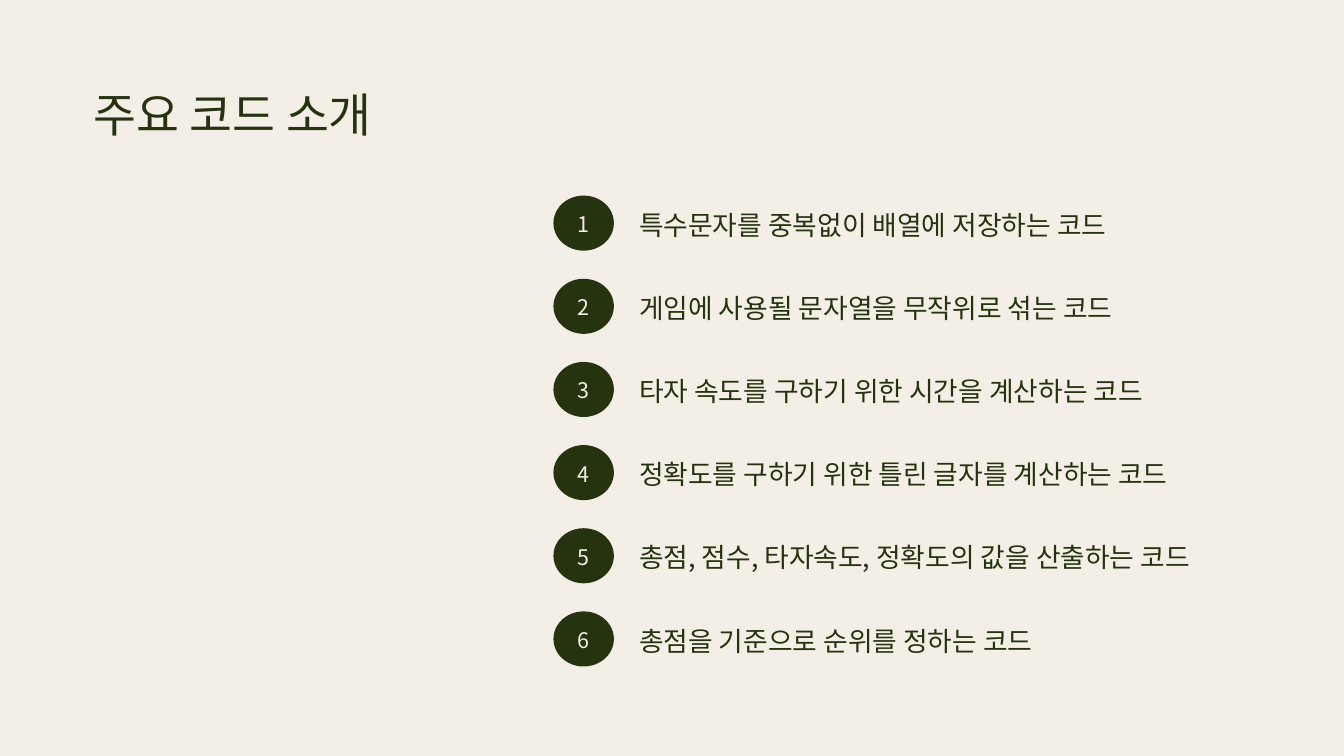
from dataclasses import dataclass

from lxml.etree import SubElement
from pptx import Presentation
from pptx.dml.color import RGBColor
from pptx.enum.shapes import MSO_SHAPE
from pptx.enum.text import MSO_AUTO_SIZE, PP_ALIGN
from pptx.oxml.ns import qn
from pptx.util import Inches, Pt

COLORS = {"cream": "F4EFE6", "green": "25330F"}
FONT = "Noto Sans CJK KR"
WIDTH, HEIGHT = Inches(20), Inches(11.25)

# Places and sizes are percentages of the slide's width and height.
FIRST_ROW, ROW_PITCH = 25.87, 11
BADGE_LEFT, BADGE_WIDTH, BADGE_HEIGHT = 41.18, 4.5, 7.29
LABEL_LEFT, LABEL_WIDTH = 47.55, 45.5

TOPICS = [
    "특수문자를 중복없이 배열에 저장하는 코드",
    "게임에 사용될 문자열을 무작위로 섞는 코드",
    "타자 속도를 구하기 위한 시간을 계산하는 코드",
    "정확도를 구하기 위한 틀린 글자를 계산하는 코드",
    "총점, 점수, 타자속도, 정확도의 값을 산출하는 코드",
    "총점을 기준으로 순위를 정하는 코드",
]


@dataclass(frozen=True)
class Box:
    left: float
    top: float
    width: float
    height: float

    def emu(self) -> tuple[int, int, int, int]:
        return (round(WIDTH * self.left / 100), round(HEIGHT * self.top / 100),
                round(WIDTH * self.width / 100), round(HEIGHT * self.height / 100))


@dataclass(frozen=True)
class TextStyle:
    size: float
    spacing: float
    color: str = "green"
    align: PP_ALIGN = PP_ALIGN.LEFT


TITLE = TextStyle(50, 70)
NUMBER = TextStyle(23, 32.2, "cream", PP_ALIGN.CENTER)
LABEL = TextStyle(28.7, 40.2)


def rgb(name: str) -> RGBColor:
    return RGBColor.from_string(COLORS[name])


def add_text(shapes, box: Box, text: str, style: TextStyle) -> None:
    tf = shapes.add_textbox(*box.emu()).text_frame
    tf.word_wrap = True
    tf.auto_size = MSO_AUTO_SIZE.SHAPE_TO_FIT_TEXT
    tf.margin_left = tf.margin_top = tf.margin_right = tf.margin_bottom = 0
    p = tf.paragraphs[0]
    p.alignment = style.align
    p.line_spacing = Pt(style.spacing)
    r = p.add_run()
    r.text = text
    r.font.size = Pt(style.size)
    r.font.color.rgb = rgb(style.color)
    r.font.name = FONT
    SubElement(r.font._element, qn("a:ea"), typeface=FONT)


def add_topic(shapes, number: int, text: str) -> None:
    """Draw one numbered row as a group of badge, number and label."""
    top = FIRST_ROW + (number - 1) * ROW_PITCH
    row = shapes.add_group_shape().shapes
    badge = row.add_shape(
        MSO_SHAPE.OVAL, *Box(BADGE_LEFT, top, BADGE_WIDTH, BADGE_HEIGHT).emu())
    badge.shadow.inherit = False
    badge.fill.solid()
    badge.fill.fore_color.rgb = rgb("green")
    badge.line.fill.background()
    add_text(row, Box(BADGE_LEFT, top + 1.5, BADGE_WIDTH, 3.9), str(number), NUMBER)
    add_text(row, Box(LABEL_LEFT, top + 1, LABEL_WIDTH, 4.8), text, LABEL)


def main() -> None:
    prs = Presentation()
    prs.slide_width, prs.slide_height = WIDTH, HEIGHT
    s = prs.slides.add_slide(prs.slide_layouts[6])
    s.background.fill.solid()
    s.background.fill.fore_color.rgb = rgb("cream")
    for number, text in enumerate(TOPICS, start=1):
        add_topic(s.shapes, number, text)
    add_text(s.shapes, Box(6.95, 10.13, 58.8, 8.89), "주요 코드 소개", TITLE)
    prs.save("out.pptx")


if __name__ == "__main__":
    main()
